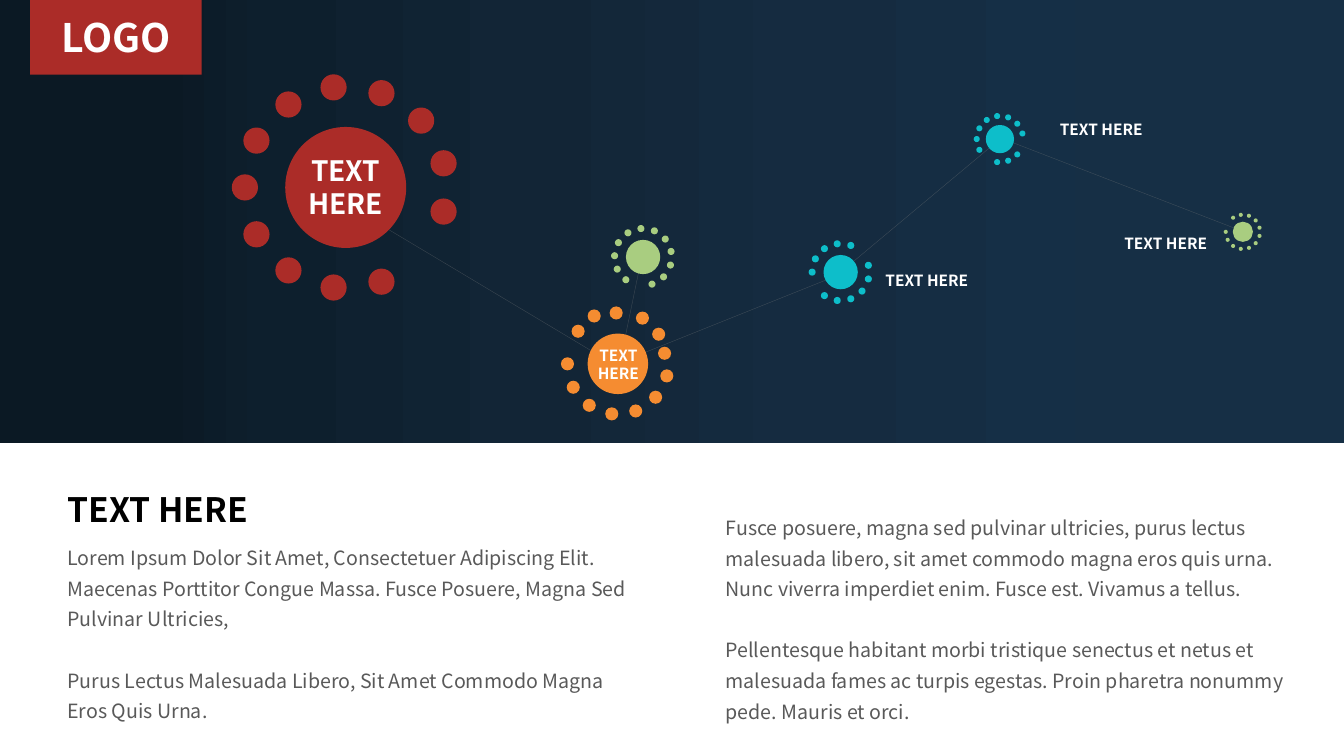
from math import cos, radians, sin
from lxml.etree import SubElement
from pptx import Presentation
from pptx.dml.color import RGBColor
from pptx.enum.shapes import MSO_CONNECTOR, MSO_SHAPE
from pptx.enum.text import MSO_AUTO_SIZE, PP_ALIGN
from pptx.oxml.ns import qn
from pptx.util import Inches, Pt

FONT = "Noto Sans CJK SC"
COLORS = {
    "red": "AB2C28", "orange": "F58C31", "teal": "0DBECA", "green": "A9CD80",
    "white": "FFFFFF", "black": "000000", "grey": "595959", "link": "808080",
}
SKY = {0: "162F45", 20: "152F46", 40: "152B40", 60: "122536", 80: "0D1F2D", 88: "0B1924"}

# Grid cells are a tenth of an inch
COLUMNS, ROWS, CELL = 133.33, 75, Inches(0.1)
SKY_ROWS = 44
LOGO_TAB = (3, 0, 17, 7.4)
SLOTS = 13

LINKS = [
    (63.6, 25.8, 61.6, 35.5),
    (38.6, 22.8, 60, 35.6),
    (62.4, 35.6, 83.4, 27.2),
    (83.4, 27, 99.2, 13.8),
    (98.8, 13.5, 122.9, 22.8),
]


def ring(*missing):
    return {slot: 1 for slot in range(SLOTS) if slot not in missing}


ORANGE_RING = {0: 1, 1.42: 1.02, 2.3: 1.06, 3.18: 1.01, 4.27: 1.03, 5.2: 1, 6.04: 0.95,
               **ring(*range(7))}

NODES = [
    dict(color="red", center=(34.3, 18.6), disc=12, dot=2.6, reach=10, dots=ring(8)),
    dict(color="orange", center=(61.3, 36.1), disc=6, dot=1.3, reach=5, dots=ORANGE_RING),
    dict(color="teal", center=(83.4, 27), disc=3.4, dot=0.7, reach=2.83, dots=ring(5, 12)),
    dict(color="teal", center=(99.2, 13.8), disc=2.8, dot=0.6, reach=2.3, dots=ring(7, 11)),
    dict(color="green", center=(123.3, 23), disc=2, dot=0.4, reach=1.7, dots=ring(1)),
    dict(color="green", center=(63.8, 25.5), disc=3.4, dot=0.7, reach=2.83, dots=ring(1), turn=251.8),
]

BADGES = [
    (["TEXT", "HERE"], (29.3, 14.7, 10, 7.7), 20),
    (["TEXT", "HERE"], (58, 33.8, 6.7, 4.7), 11),
    (["TEXT HERE"], (84.5, 26.4, 14.9, 2.9), 11),
    (["TEXT HERE"], (101.8, 11.4, 14.9, 2.9), 11),
    (["TEXT HERE"], (108.2, 22.7, 14.9, 2.9), 11),
    (["LOGO"], (3, 0.8, 17, 5.7), 28),
]
HEADING = (["TEXT HERE"], (5.7, 48, 24.2, 5))
BODIES = [
    ([
        "Lorem Ipsum Dolor Sit Amet, Consectetuer Adipiscing Elit. Maecenas Porttitor "
        "Congue Massa. Fusce Posuere, Magna Sed Pulvinar Ultricies,",
        "Purus Lectus Malesuada Libero, Sit Amet Commodo Magna Eros Quis Urna.",
    ], (5.7, 53, 59.2, 19.4)),
    ([
        "Fusce posuere, magna sed pulvinar ultricies, purus lectus malesuada libero, "
        "sit amet commodo magna eros quis urna.",
        "Nunc viverra imperdiet enim. Fusce est. Vivamus a tellus.",
        "Pellentesque habitant morbi tristique senectus et netus et malesuada fames ac "
        "turpis egestas. Proin pharetra nonummy pede. Mauris et orci.",
    ], (71, 50, 59.2, 22.5)),
]
BODY_GAP = 21.9


def cells(box):
    return [round(length * CELL) for length in box]


def rgb(name):
    return RGBColor.from_string(COLORS[name])


def add_block(slide, kind, box, color=None):
    block = slide.shapes.add_shape(kind, *cells(box))
    block.shadow.inherit = False
    block.line.fill.background()
    if color:
        block.fill.solid()
        block.fill.fore_color.rgb = rgb(color)
    return block


def add_sky(slide):
    sky = add_block(slide, MSO_SHAPE.RECTANGLE, (0, 0, COLUMNS, SKY_ROWS))
    sky.fill.gradient()
    gradient = sky._element.spPr.find(qn("a:gradFill"))
    for child in list(gradient):
        gradient.remove(child)
    stops = SubElement(gradient, qn("a:gsLst"))
    for position, shade in SKY.items():
        stop = SubElement(stops, qn("a:gs"), pos=str(position * 1000))
        SubElement(stop, qn("a:srgbClr"), val=shade)
    SubElement(gradient, qn("a:lin"), ang="10800000", scaled="0")


def add_link(slide, ends):
    link = slide.shapes.add_connector(MSO_CONNECTOR.STRAIGHT, *cells(ends))
    link.line.width = Pt(0.25)
    link.line.color.rgb = rgb("link")
    properties = link._element.spPr
    SubElement(next(properties.iter(qn("a:srgbClr"))), qn("a:alpha"), val="40000")
    SubElement(properties, qn("a:effectLst"))


def add_circle(slide, x, y, size, color):
    add_block(slide, MSO_SHAPE.OVAL, (x - size / 2, y - size / 2, size, size), color)


def add_node(slide, color, center, disc, dot, reach, dots, turn=0):
    x, y = center
    add_circle(slide, x, y, disc, color)
    for slot, stretch in dots.items():
        angle = radians(180 + turn + slot * 360 / SLOTS)
        distance = reach * stretch
        add_circle(slide, x + distance * cos(angle), y + distance * sin(angle), dot, color)


def add_text(slide, lines, box, *, size, color, bold=False, align=PP_ALIGN.LEFT, spacing=None, gap=0):
    frame = slide.shapes.add_textbox(*cells(box)).text_frame
    frame.word_wrap = True
    frame.auto_size = MSO_AUTO_SIZE.SHAPE_TO_FIT_TEXT
    for index, line in enumerate(lines):
        paragraph = frame.paragraphs[0] if index == 0 else frame.add_paragraph()
        paragraph.alignment = align
        if spacing:
            paragraph.line_spacing = spacing
        if gap and index and index == len(lines) - 1:
            paragraph.space_before = Pt(gap)
        run = paragraph.add_run()
        run.text = line
        run.font.name = FONT
        run.font.size = Pt(size)
        run.font.bold = bold
        run.font.color.rgb = rgb(color)
        SubElement(run._r.get_or_add_rPr(), qn("a:ea"), typeface=FONT)


def main():
    deck = Presentation()
    deck.slide_width, deck.slide_height = cells((COLUMNS, ROWS))
    slide = deck.slides.add_slide(deck.slide_layouts[6])
    add_sky(slide)
    for ends in LINKS:
        add_link(slide, ends)
    add_block(slide, MSO_SHAPE.RECTANGLE, LOGO_TAB, "red")
    for node in NODES:
        add_node(slide, **node)
    for lines, box, size in BADGES:
        add_text(slide, lines, box, size=size, color="white", bold=True, align=PP_ALIGN.CENTER)
    add_text(slide, *HEADING, size=24, color="black", bold=True)
    for lines, box in BODIES:
        add_text(slide, lines, box, size=14, color="grey", spacing=1.3, gap=BODY_GAP)
    deck.save("out.pptx")


if __name__ == "__main__":
    main()
